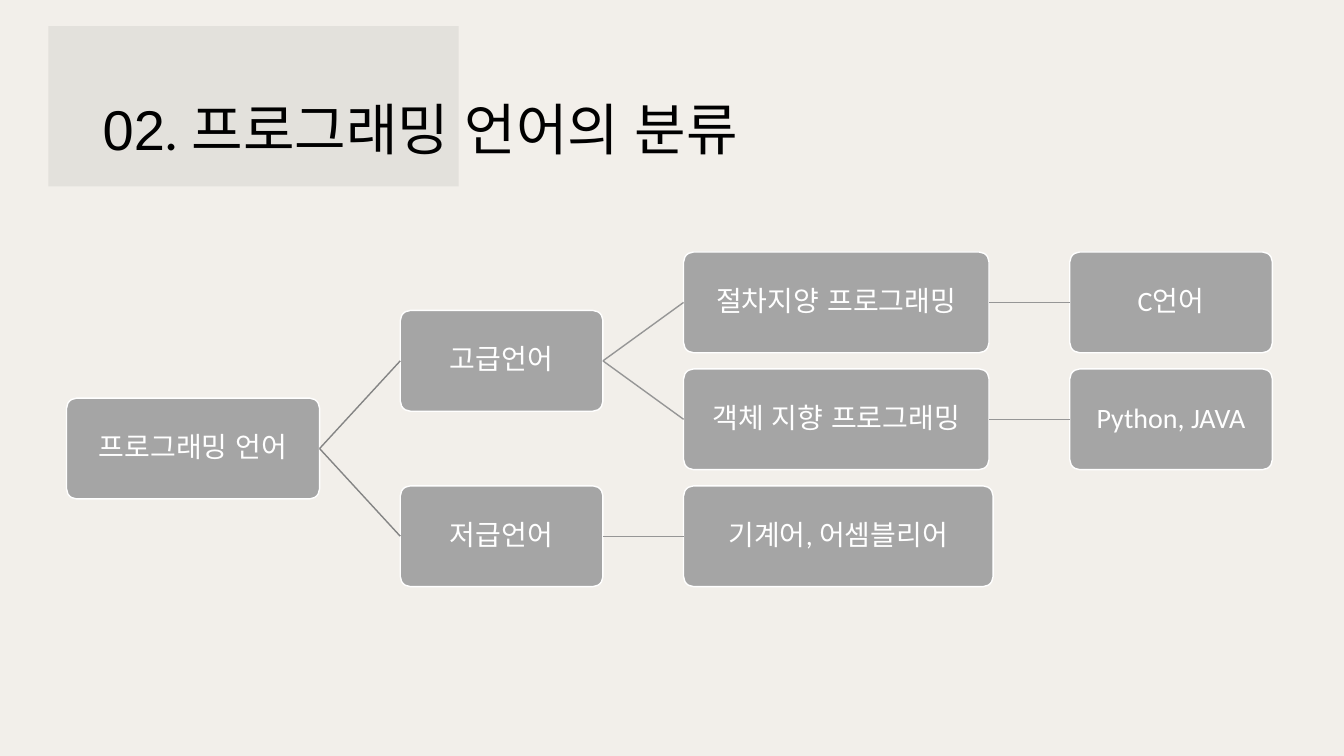
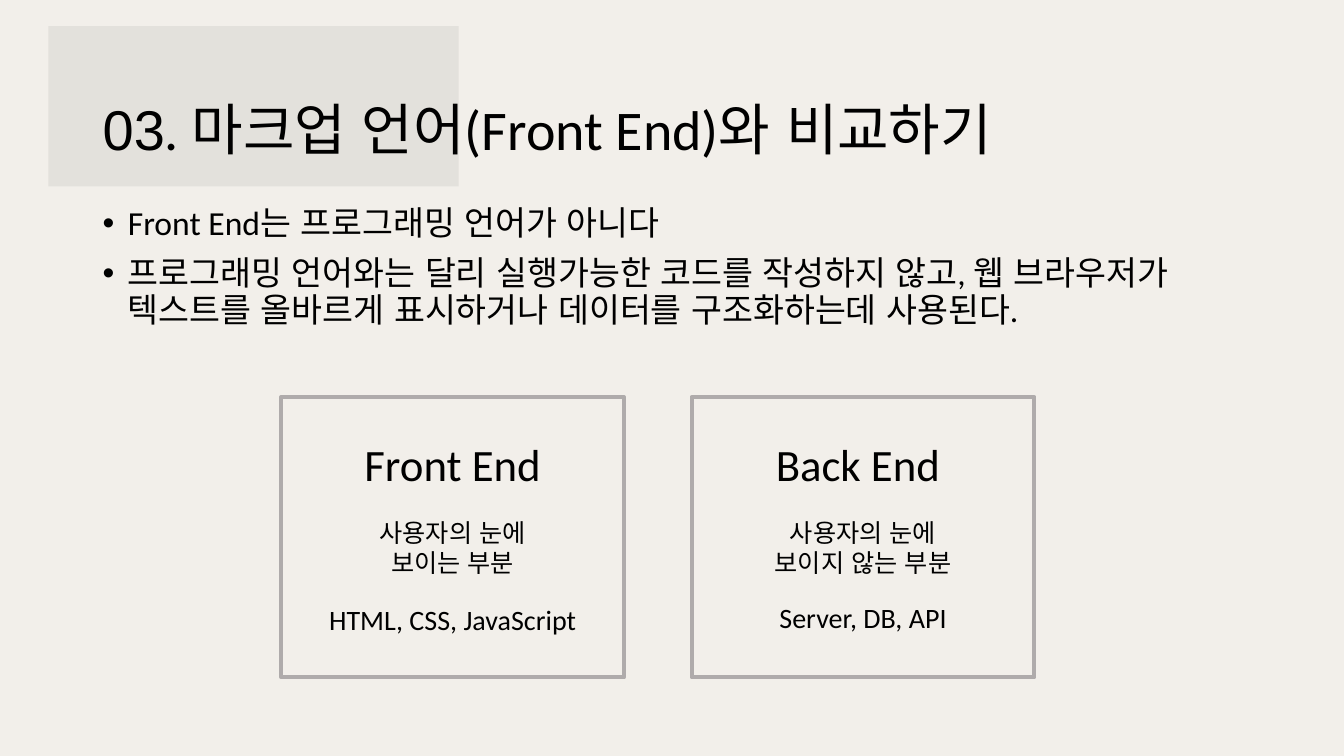
from lxml import etree
from pptx import Presentation
from pptx.dml.color import RGBColor
from pptx.enum.lang import MSO_LANGUAGE_ID
from pptx.enum.shapes import MSO_CONNECTOR, MSO_SHAPE
from pptx.enum.text import MSO_ANCHOR, PP_ALIGN
from pptx.oxml.ns import qn
from pptx.util import Inches, Pt

RECT, ROUND = MSO_SHAPE.RECTANGLE, MSO_SHAPE.ROUNDED_RECTANGLE
STRAIGHT = MSO_CONNECTOR.STRAIGHT
TOP, MIDDLE = MSO_ANCHOR.TOP, MSO_ANCHOR.MIDDLE
LEFT, CENTER = PP_ALIGN.LEFT, PP_ALIGN.CENTER
KOREAN = MSO_LANGUAGE_ID.KOREAN

PAPER = RGBColor(0xF2, 0xEF, 0xEA)
BAND = RGBColor(0xE3, 0xE1, 0xDC)
NODE = RGBColor(0xA5, 0xA5, 0xA5)
BRANCH = RGBColor(0x84, 0x84, 0x84)
TWIG = RGBColor(0x96, 0x96, 0x96)
FRAME = RGBColor(0xAF, 0xAB, 0xAB)
WHITE = RGBColor(0xFF, 0xFF, 0xFF)
BLACK = RGBColor(0x00, 0x00, 0x00)
HEAD_FONT, BODY_FONT = "Arial", "Calibri"

TITLES = [("02", ". 프로그래밍 언어의 분류"),
          ("03", ". 마크업 언어(Front End)와 비교하기")]
TREE = ("프로그래밍 언어", 2.51, [
    ("고급언어", 2.01, [
        ("절차지양 프로그래밍", 3.03, [("C언어", 2.01, [])]),
        ("객체 지향 프로그래밍", 3.03, [("Python, JAVA", 2.01, [])])]),
    ("저급언어", 2.01, [("기계어, 어셈블리어", 3.07, [])])])
BULLETS = ["Front End는 프로그래밍 언어가 아니다",
           "프로그래밍 언어와는 달리 실행가능한 코드를 작성하지 않고, "
           "웹 브라우저가 텍스트를 올바르게 표시하거나 데이터를 구조화하는데 사용된다."]
CARDS = [
    [("Front End", 32, 0, 4.28, 2.2), ("사용자의 눈에 보이는 부분", 18, 0, 5.08, 2.16),
     ("HTML, CSS, JavaScript", 20, 0, 5.93, 2.74)],
    [("Back End", 32, -0.05, 4.28, 2.2), ("사용자의 눈에 보이지 않는 부분", 18, 0, 5.08, 2.16),
     ("Server, DB, API", 20, 0, 5.91, 2.47)],
]

MARGIN, TEXT_W = 0.92, 11.5
TREE_X, TREE_Y, NODE_H, ROW_STEP, COL_GAP = 0.66, 2.5, 1, 1.16, 0.8
CARD_X, CARD_Y, CARD_W, CARD_H, CARD_STEP = 2.79, 3.94, 3.4, 2.78, 4.07


def add_run(p, text, size, color=BLACK, font=BODY_FONT):
    r = p.add_run()
    r.text = text
    f = r.font
    f.size, f.name, f.color.rgb, f.language_id = Pt(size), font, color, KOREAN


def add_box(s, kind, x, y, w, h, fill=None, line=None, weight=1):
    sp = s.shapes.add_shape(kind, Inches(x), Inches(y), Inches(w), Inches(h))
    sp.shadow.inherit = False
    if fill is None:
        sp.fill.background()
    else:
        sp.fill.solid()
        sp.fill.fore_color.rgb = fill
    if line is None:
        sp.line.fill.background()
    else:
        sp.line.color.rgb = line
        sp.line.width = Pt(weight)
    return sp


def add_text(s, x, y, w, h, anchor=TOP):
    tf = s.shapes.add_textbox(Inches(x), Inches(y), Inches(w), Inches(h)).text_frame
    tf.word_wrap = True
    tf.vertical_anchor = anchor
    return tf


def add_slide(prs, number, title):
    s = prs.slides.add_slide(prs.slide_layouts[6])
    add_box(s, RECT, 0.48, 0.26, 4.07, 1.59, BAND)
    p = add_text(s, MARGIN, 0.78, TEXT_W, 1.07, MIDDLE).paragraphs[0]
    p.line_spacing = 0.9
    add_run(p, number, 40, font=HEAD_FONT)
    add_run(p, title, 40)
    return s


def join(s, parent, child, color):
    c = s.shapes.add_connector(STRAIGHT, 0, 0, 0, 0)
    c.begin_connect(parent, 3)
    c.end_connect(child, 1)
    c.line.color.rgb = color
    c.line.width = Pt(1)
    etree.SubElement(c.element.spPr, qn("a:effectLst"))


def add_node(s, node, x, next_row, color=BRANCH):
    name, w, children = node
    placed = []
    for child in children:
        placed.append(add_node(s, child, x + w + COL_GAP, next_row, TWIG))
        next_row = placed[-1][2]
    if placed:
        row = (placed[0][1] + placed[-1][1]) / 2
    else:
        row, next_row = next_row, next_row + 1
    sp = add_box(s, ROUND, x, TREE_Y + row * ROW_STEP, w, NODE_H, NODE, WHITE)
    sp.adjustments[0] = 0.1
    tf = sp.text_frame
    tf.word_wrap = True
    tf.vertical_anchor = MIDDLE
    tf.margin_left = tf.margin_right = tf.margin_top = tf.margin_bottom = Inches(0.04)
    p = tf.paragraphs[0]
    p.alignment, p.line_spacing = CENTER, 0.9
    add_run(p, name, 20, WHITE)
    for child_sp, _, _ in placed:
        join(s, sp, child_sp, color)
    return sp, row, next_row


def add_bullets(s):
    tf = add_text(s, MARGIN, 2, TEXT_W, 1.39)
    for i, text in enumerate(BULLETS):
        p = tf.add_paragraph() if i else tf.paragraphs[0]
        p.alignment, p.line_spacing, p.space_before = LEFT, 0.9, Pt(10)
        pPr = p._p.get_or_add_pPr()
        pPr.set("marL", str(Inches(0.25)))
        pPr.set("indent", str(-Inches(0.25)))
        etree.SubElement(pPr, qn("a:buFont"), typeface=HEAD_FONT)
        etree.SubElement(pPr, qn("a:buChar"), char="•")
        add_run(p, text, 24)


def add_cards(s):
    for i, lines in enumerate(CARDS):
        x = CARD_X + i * CARD_STEP
        add_box(s, RECT, x, CARD_Y, CARD_W, CARD_H, line=FRAME, weight=3)
        for text, size, shift, y, w in lines:
            tf = add_text(s, x + (CARD_W - w) / 2 + shift, y, w, 0.64)
            p = tf.paragraphs[0]
            p.alignment = CENTER
            add_run(p, text, size)


def main():
    prs = Presentation()
    prs.slide_width, prs.slide_height = Inches(13.33), Inches(7.5)
    fill = prs.slide_master.background.fill
    fill.solid()
    fill.fore_color.rgb = PAPER
    tree_slide, compare_slide = [add_slide(prs, *t) for t in TITLES]
    add_node(tree_slide, TREE, TREE_X, 0)
    add_bullets(compare_slide)
    add_cards(compare_slide)
    prs.save("out.pptx")


if __name__ == "__main__":
    main()
